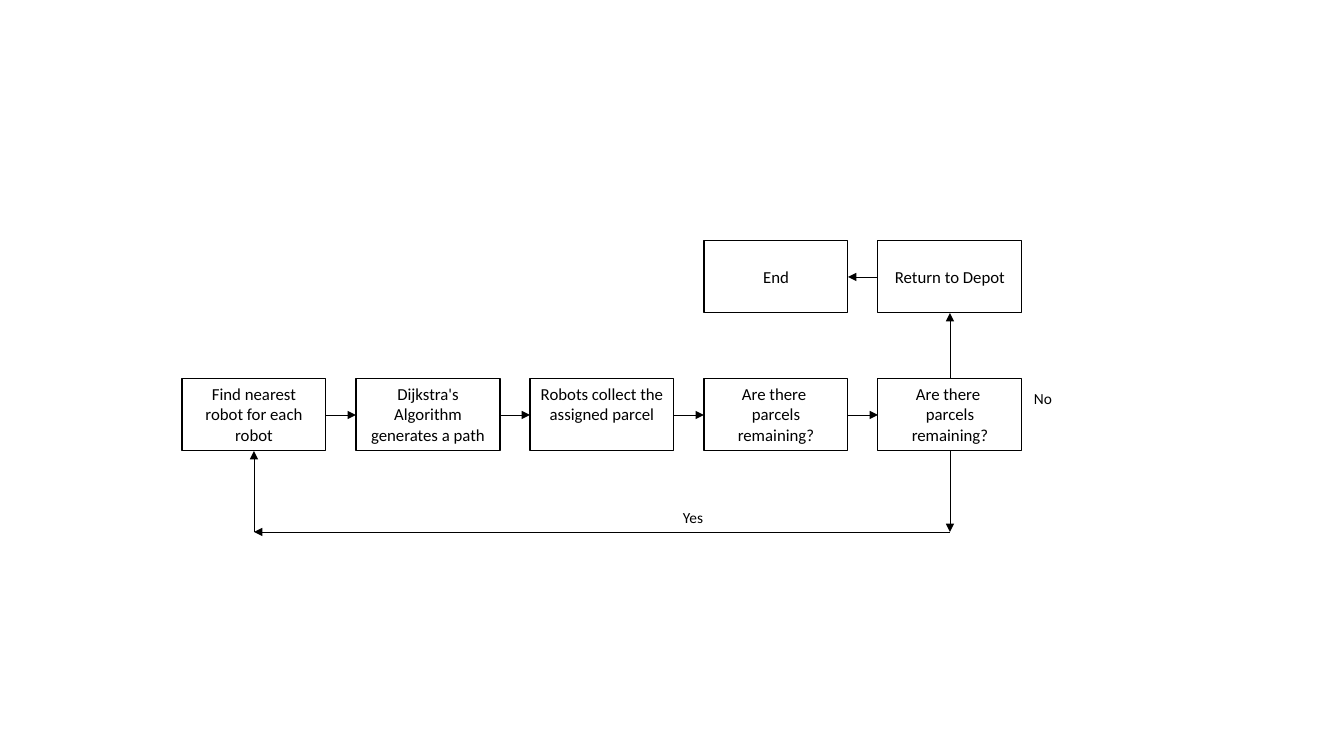
import dataclasses

import lxml.etree
import pptx
import pptx.dml.color
import pptx.enum.shapes
import pptx.enum.text
import pptx.oxml.ns
import pptx.util

EMU_PER_PX = 914400 / 100.8
SLIDE_WIDTH, SLIDE_HEIGHT = 1344, 756
BOX_WIDTH, BOX_HEIGHT = 144, 72
FIRST_LEFT, COLUMN_STEP = 182, 174
STEP_TOP, FINISH_TOP, LOOP_Y = 379, 241, 532
TOP, LEFT, BOTTOM, RIGHT = range(4)

QUESTION = "Are there \nparcels remaining?"
STEPS = [
    "Find nearest robot for each robot",
    "Dijkstra's Algorithm generates a path",
    "Robots collect the assigned parcel",
    QUESTION,
    QUESTION,
]


@dataclasses.dataclass(frozen=True)
class Theme:
    """Colours, font, type sizes and line widths of the flowchart."""
    ink: pptx.dml.color.RGBColor = pptx.dml.color.RGBColor(0, 0, 0)
    font: str = "Calibri"
    box_size: int = 12
    label_size: int = 11
    box_line: float = 0.75
    arrow_line: float = 0.5


THEME = Theme()


def px(length):
    """Turn pixels into EMU."""
    return pptx.util.Emu(round(length * EMU_PER_PX))


def column_left(column):
    """Return the left edge of a flowchart column."""
    return FIRST_LEFT + column * COLUMN_STEP


def write_text(shape, text, *, size, align, anchor=pptx.enum.text.MSO_ANCHOR.TOP):
    """Fill a shape with text, one paragraph for each line."""
    frame = shape.text_frame
    frame.word_wrap = True
    frame.vertical_anchor = anchor
    frame.text = text
    for paragraph in frame.paragraphs:
        paragraph.alignment = align
        font = paragraph.runs[0].font
        font.name = THEME.font
        font.size = pptx.util.Pt(size)
        font.color.rgb = THEME.ink


def add_box(slide, column, top, text, anchor=pptx.enum.text.MSO_ANCHOR.TOP):
    """Add an outlined process box in a column."""
    box = slide.shapes.add_shape(
        pptx.enum.shapes.MSO_SHAPE.RECTANGLE,
        px(column_left(column)), px(top), px(BOX_WIDTH), px(BOX_HEIGHT))
    box.shadow.inherit = False
    box.fill.background()
    box.line.color.rgb = THEME.ink
    box.line.width = pptx.util.Pt(THEME.box_line)
    write_text(box, text, size=THEME.box_size,
               align=pptx.enum.text.PP_ALIGN.CENTER, anchor=anchor)
    return box


def add_label(slide, left, top, text):
    """Add a branch label."""
    label = slide.shapes.add_textbox(px(left), px(top), px(86), px(29))
    write_text(label, text, size=THEME.label_size,
               align=pptx.enum.text.PP_ALIGN.LEFT)


def add_arrow(slide, start=(0, 0), end=(0, 0), begin=None, finish=None):
    """Add an arrow between points, or between (box, side) joints."""
    arrow = slide.shapes.add_connector(
        pptx.enum.shapes.MSO_CONNECTOR.STRAIGHT, *map(px, start + end))
    if begin:
        arrow.begin_connect(*begin)
    if finish:
        arrow.end_connect(*finish)
    arrow.line.color.rgb = THEME.ink
    arrow.line.width = pptx.util.Pt(THEME.arrow_line)
    name = pptx.oxml.ns.qn
    properties = arrow.element.spPr
    head = lxml.etree.SubElement(properties.find(name("a:ln")), name("a:tailEnd"))
    head.set("type", "triangle")
    lxml.etree.SubElement(properties, name("a:effectLst"))


def main():
    """Build the parcel robot flowchart."""
    presentation = pptx.Presentation()
    presentation.slide_width = px(SLIDE_WIDTH)
    presentation.slide_height = px(SLIDE_HEIGHT)
    slide = presentation.slides.add_slide(presentation.slide_layouts[6])

    steps = [add_box(slide, column, STEP_TOP, text)
             for column, text in enumerate(STEPS)]
    middle = pptx.enum.text.MSO_ANCHOR.MIDDLE
    depot = add_box(slide, 4, FINISH_TOP, "Return to Depot", middle)
    end = add_box(slide, 3, FINISH_TOP, "End", middle)

    for source, target in zip(steps, steps[1:]):
        add_arrow(slide, begin=(source, RIGHT), finish=(target, LEFT))
    add_arrow(slide, begin=(steps[-1], TOP), finish=(depot, BOTTOM))
    add_arrow(slide, begin=(depot, LEFT), finish=(end, RIGHT))

    loop_start = (column_left(4) + BOX_WIDTH // 2, LOOP_Y)
    loop_end = (column_left(0) + BOX_WIDTH // 2, LOOP_Y)
    add_arrow(slide, end=loop_start, begin=(steps[-1], BOTTOM))
    add_arrow(slide, start=loop_start, end=loop_end)
    add_arrow(slide, start=loop_end, finish=(steps[0], BOTTOM))

    add_label(slide, 673, 503, "Yes")
    add_label(slide, 1024, 384, "No")
    presentation.save("out.pptx")


if __name__ == "__main__":
    main()
